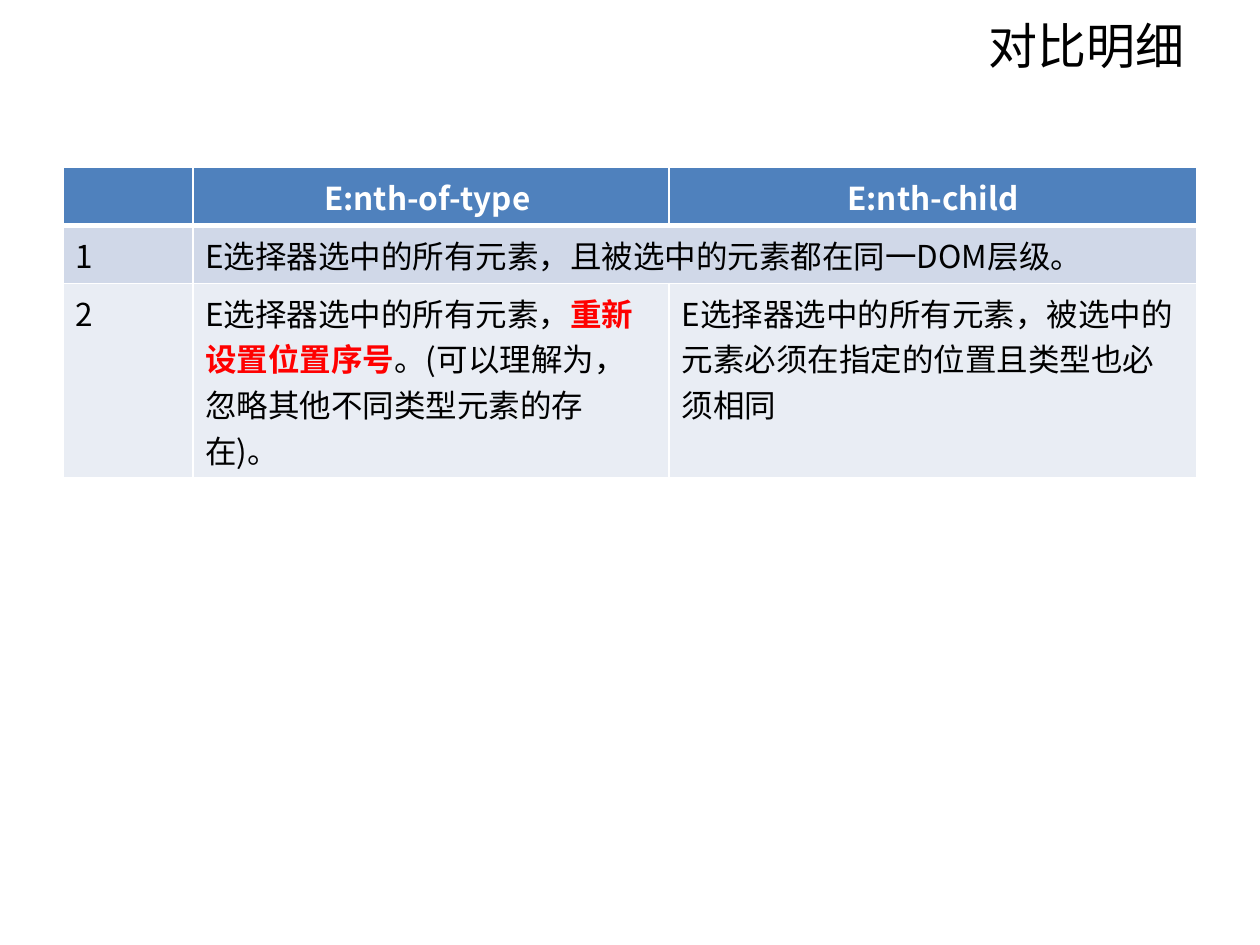
"""Build a slide comparing the E:nth-of-type and E:nth-child selectors."""
from typing import NamedTuple

from lxml.etree import SubElement
from pptx import Presentation
from pptx.dml.color import RGBColor
from pptx.enum.text import MSO_ANCHOR as Anchor, PP_ALIGN as Align
from pptx.oxml.ns import qn
from pptx.util import Inches, Pt

FONT = "Noto Sans CJK SC"
BLACK, WHITE, RED = "000000", "FFFFFF", "FF0000"
COLUMN_WIDTHS = (1.03, 3.78, 4.19)


class Span(NamedTuple):
    text: str
    color: str = BLACK
    bold: bool = False


class Row(NamedTuple):
    height: float
    fill: str
    align: Align
    bottom: float
    cells: tuple[tuple[Span, ...], ...]


ROWS = (
    Row(0.46, "4F81BD", Align.CENTER, 3, (
        (),
        (Span("E:nth-of-type ", WHITE, True),),
        (Span("E:nth-child", WHITE, True),),
    )),
    Row(0.46, "D0D8E8", Align.LEFT, 1, (
        (Span("1"),),
        (Span("E选择器选中的所有元素，且被选中的元素都在同一DOM层级。"),),
        (),
    )),
    Row(1.54, "E9EDF4", Align.LEFT, 1, (
        (Span("2"),),
        (
            Span("E选择器选中的所有元素，"),
            Span("重新设置位置序号", RED, True),
            Span("。(可以理解为，忽略其他不同类型元素的存在)。"),
        ),
        (Span("E选择器选中的所有元素，被选中的元素必须在指定的位置且类型也必须相同"),),
    )),
)


def rgb(color: str) -> RGBColor:
    return RGBColor.from_string(color)


def write(paragraph, spans: tuple[Span, ...], size: float, align: Align) -> None:
    paragraph.alignment = align
    paragraph.font.size = Pt(size)
    for span in spans:
        run = paragraph.add_run()
        run.text = span.text
        run.font.size = Pt(size)
        run.font.bold = span.bold
        run.font.color.rgb = rgb(span.color)
        run.font.name = FONT
        SubElement(run.font._element, qn("a:ea"), typeface=FONT)


def add_borders(cell, top: float, bottom: float) -> None:
    properties = cell._tc.get_or_add_tcPr()
    for side, width in (("L", 1), ("R", 1), ("T", top), ("B", bottom)):
        line = SubElement(properties, qn(f"a:ln{side}"), w=str(Pt(width)))
        fill = SubElement(line, qn("a:solidFill"))
        SubElement(fill, qn("a:srgbClr"), val=WHITE)


def add_title(slide, text: str) -> None:
    box = slide.shapes.add_textbox(Inches(0.5), Inches(0), Inches(9), Inches(0.71))
    frame = box.text_frame
    frame.word_wrap = True
    frame.vertical_anchor = Anchor.MIDDLE
    write(frame.paragraphs[0], (Span(text),), 28, Align.RIGHT)


def add_comparison(slide, rows: tuple[Row, ...]) -> None:
    height = sum(row.height for row in rows)
    table = slide.shapes.add_table(
        len(rows), len(COLUMN_WIDTHS),
        Inches(0.5), Inches(1.33), Inches(9), Inches(height)).table
    for column, width in zip(table.columns, COLUMN_WIDTHS):
        column.width = Inches(width)
    top = 1
    for table_row, row in zip(table.rows, rows):
        table_row.height = Inches(row.height)
        for cell, spans in zip(table_row.cells, row.cells):
            add_borders(cell, top, row.bottom)
            cell.fill.solid()
            cell.fill.fore_color.rgb = rgb(row.fill)
            write(cell.text_frame.paragraphs[0], spans, 18, row.align)
        top = row.bottom
    table.cell(1, 1).merge(table.cell(1, 2))


def main() -> None:
    deck = Presentation()
    deck.slide_width, deck.slide_height = Inches(10), Inches(7.5)
    slide = deck.slides.add_slide(deck.slide_layouts[6])
    add_title(slide, "对比明细")
    add_comparison(slide, ROWS)
    deck.save("out.pptx")


if __name__ == "__main__":
    main()
